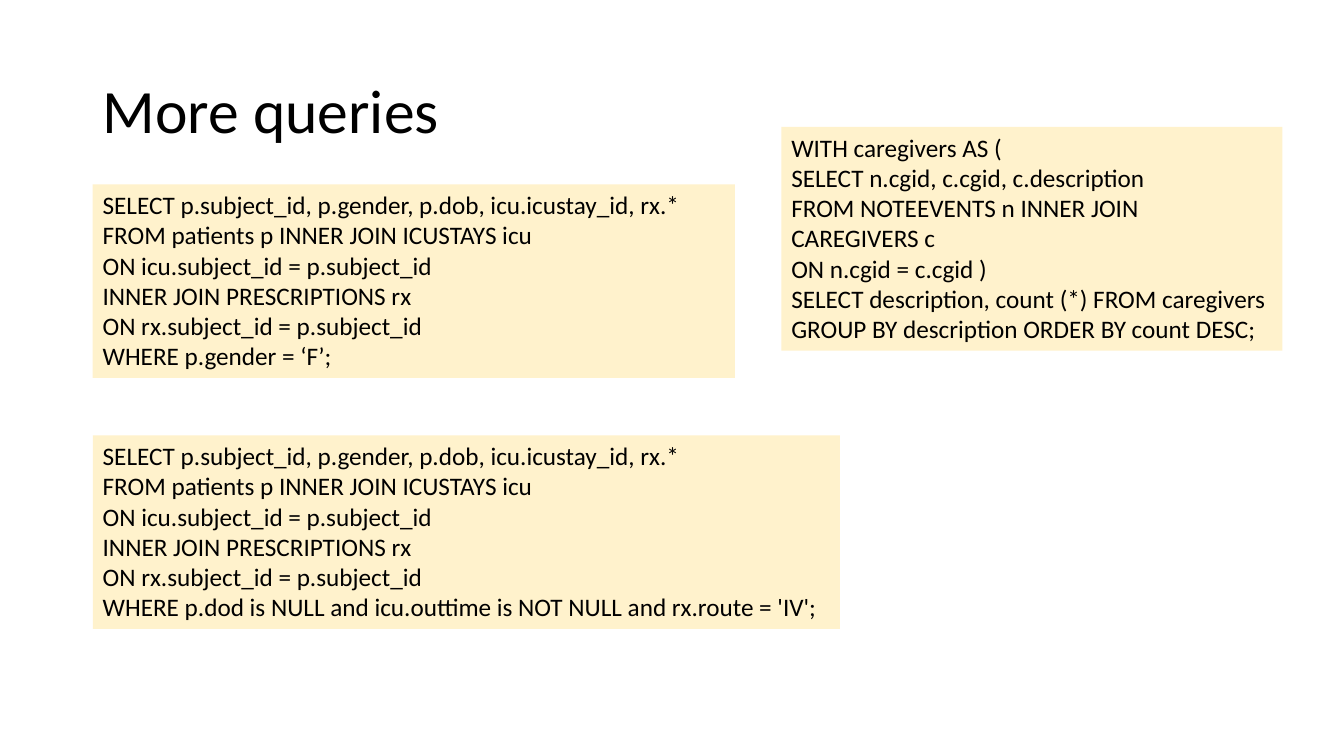
from dataclasses import dataclass

from pptx import Presentation
from pptx import util as u
from pptx.dml.color import RGBColor
from pptx.enum import text

PX = u.Inches(1) // 100  # 100 px to the inch


@dataclass(frozen=True)
class Theme:
    font: str = "Calibri"
    ink: RGBColor = RGBColor(0x00, 0x00, 0x00)
    panel: RGBColor = RGBColor(0xFF, 0xF2, 0xCC)
    title_size: int = 44
    query_size: int = 18


THEME = Theme()

# Both prescription queries share their join and differ in the filter
PRESCRIPTION_JOIN = [
    "SELECT p.subject_id, p.gender, p.dob, icu.icustay_id, rx.*",
    "FROM patients p INNER JOIN ICUSTAYS icu",
    "ON icu.subject_id = p.subject_id",
    "INNER JOIN PRESCRIPTIONS rx",
    "ON rx.subject_id = p.subject_id",
]
GENDER_FILTER = "WHERE p.gender = ‘F’;"
ROUTE_FILTER = "WHERE p.dod is NULL and icu.outtime is NOT NULL and rx.route = 'IV';"
CAREGIVER_QUERY = [
    "WITH caregivers AS (",
    "SELECT n.cgid, c.cgid, c.description",
    "FROM NOTEEVENTS n INNER JOIN",
    "CAREGIVERS c",
    "ON n.cgid = c.cgid )",
    "SELECT description, count (*) FROM caregivers",
    "GROUP BY description ORDER BY count DESC;",
]


def scaled(box):
    return [length * PX for length in box]


def style_paragraph(para, size):
    para.alignment = text.PP_ALIGN.LEFT
    para.font.name = THEME.font
    para.font.size = u.Pt(size)
    para.font.color.rgb = THEME.ink


def add_title(page, box, wording):
    title = page.shapes.title
    title.left, title.top, title.width, title.height = scaled(box)
    frame = title.text_frame
    frame.text = wording
    frame.auto_size = text.MSO_AUTO_SIZE.NONE
    frame.vertical_anchor = text.MSO_ANCHOR.MIDDLE
    para = frame.paragraphs[0]
    para.line_spacing = 0.9
    style_paragraph(para, THEME.title_size)


def add_query(page, box, lines):
    panel = page.shapes.add_textbox(*scaled(box))
    panel.fill.solid()
    panel.fill.fore_color.rgb = THEME.panel
    frame = panel.text_frame
    frame.word_wrap = True
    frame.auto_size = text.MSO_AUTO_SIZE.SHAPE_TO_FIT_TEXT
    frame.text = "\n".join(lines)
    for para in frame.paragraphs:
        style_paragraph(para, THEME.query_size)


def build_queries_page(deck):
    page = deck.slides.add_slide(deck.slide_layouts[5])
    add_title(page, (92, 40, 1150, 145), "More queries")

    # Prescription queries down the left
    add_query(page, (92, 183, 637, 192), PRESCRIPTION_JOIN + [GENDER_FILTER])
    add_query(page, (92, 432, 741, 192), PRESCRIPTION_JOIN + [ROUTE_FILTER])

    # Caregiver query on the right
    add_query(page, (775, 126, 497, 222), CAREGIVER_QUERY)


def main():
    deck = Presentation()
    deck.slide_width, deck.slide_height = scaled((1333, 750))
    build_queries_page(deck)
    deck.save("out.pptx")


if __name__ == "__main__":
    main()
